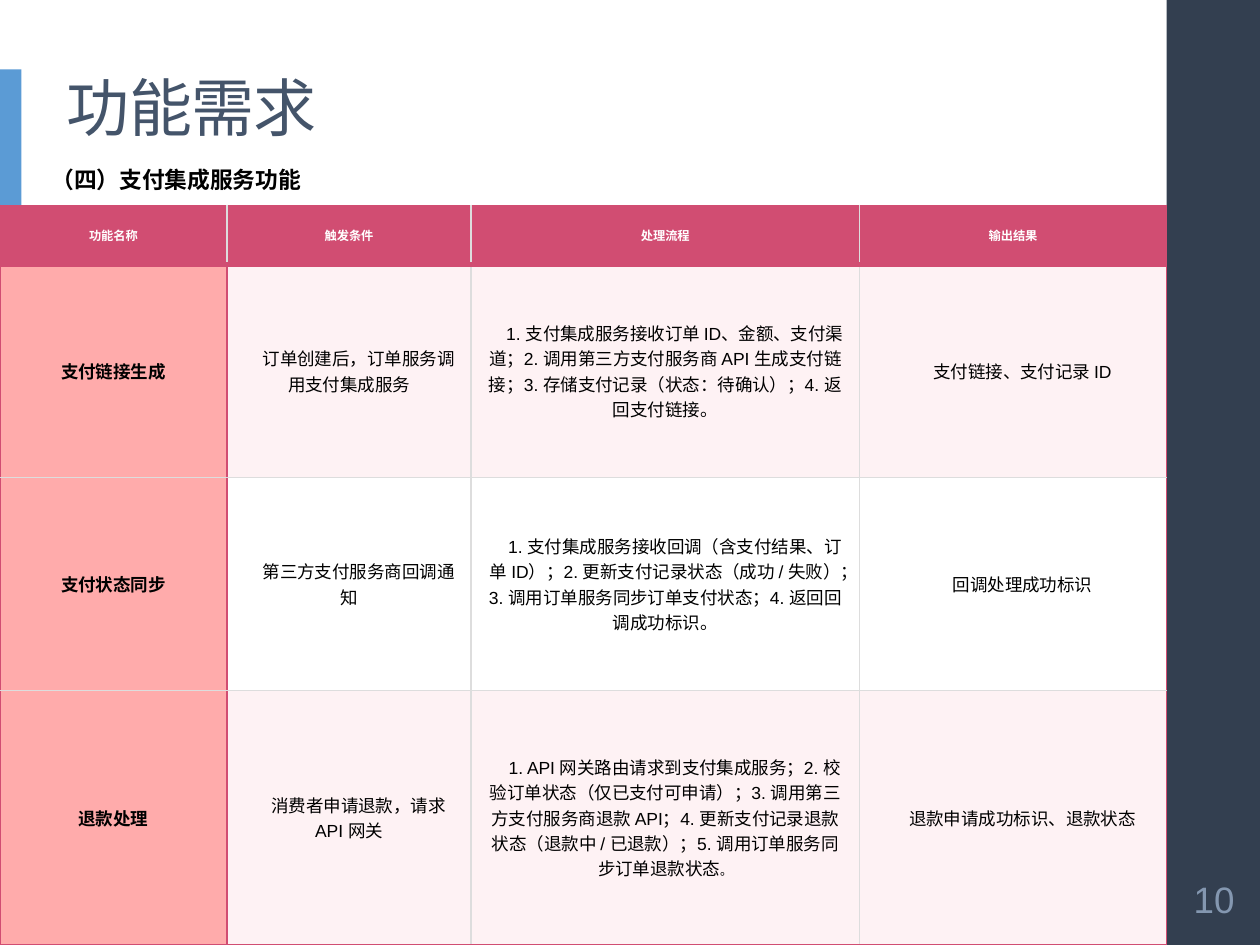
import pptx
import pptx.dml.color
import pptx.enum.shapes
import pptx.enum.text
import pptx.oxml
import pptx.oxml.ns
import pptx.util

ALIGN = pptx.enum.text.PP_ALIGN
ANCHOR = pptx.enum.text.MSO_ANCHOR
W, H = 10, 7.5
PANEL_X, PANEL_W = 9.26, 0.75
ROSE, PINK, BLUSH, GREY, WHITE = "D14D72", "FFABAB", "FEF2F4", "DDDDDD", "FFFFFF"
INDENT = 0.15
COLS = [1.8, 1.94, 3.08, 2.44]
ROWS = [0.47, 1.69, 1.69, 2.02]
CELLS = [
    ["功能名称", "触发条件", "处理流程", "输出结果"],
    ["支付链接生成",
     "订单创建后，订单服务调用支付集成服务",
     "1. 支付集成服务接收订单 ID、金额、支付渠道；2. 调用第三方支付服务商 API 生成支付链接；"
     "3. 存储支付记录（状态：待确认）；4. 返回支付链接。",
     "支付链接、支付记录 ID"],
    ["支付状态同步",
     "第三方支付服务商回调通知",
     "1. 支付集成服务接收回调（含支付结果、订单 ID）；2. 更新支付记录状态（成功 / 失败）；"
     "3. 调用订单服务同步订单支付状态；4. 返回回调成功标识。",
     "回调处理成功标识"],
    ["退款处理",
     "消费者申请退款，请求 API 网关",
     "1. API 网关路由请求到支付集成服务；2. 校验订单状态（仅已支付可申请）；"
     "3. 调用第三方支付服务商退款 API；4. 更新支付记录退款状态（退款中 / 已退款）；"
     "5. 调用订单服务同步订单退款状态。",
     "退款申请成功标识、退款状态"],
]


def rgb(color):
    return pptx.dml.color.RGBColor.from_string(color)


def box(*lengths):
    return [pptx.util.Inches(v) for v in lengths]


def add_run(p, text, size, color, bold=False):
    r = p.add_run()
    r.text = text
    r.font.name = "Arial"
    r.font.size = pptx.util.Pt(size)
    r.font.bold = bold
    r.font.color.rgb = rgb(color)
    return r


def indent(p):
    """Indent the first line of a paragraph."""
    pPr = p._p.get_or_add_pPr()
    pPr.set("marL", "0")
    pPr.set("indent", str(pptx.util.Inches(INDENT)))


def add_bar(s, at, color):
    sp = s.shapes.add_shape(pptx.enum.shapes.MSO_SHAPE.RECTANGLE, *box(*at))
    sp.shadow.inherit = False
    sp.fill.solid()
    sp.fill.fore_color.rgb = rgb(color)
    sp.line.fill.background()


def set_title(s, text):
    sp = s.shapes.title
    sp.left, sp.top, sp.width, sp.height = box(0.43, 0.56, 8.47, 1.07)
    tf = sp.text_frame
    tf.auto_size = pptx.enum.text.MSO_AUTO_SIZE.NONE
    tf.vertical_anchor = ANCHOR.TOP
    p = tf.paragraphs[0]
    p.alignment = ALIGN.LEFT
    p.line_spacing = 0.9
    r = add_run(p, text, 36, "44546A")
    r.font._element.set("spc", "-40")


def add_text(s, at, text, size, color, bold=False, align=ALIGN.LEFT):
    tf = s.shapes.add_textbox(*box(*at)).text_frame
    tf.word_wrap = True
    tf.vertical_anchor = ANCHOR.MIDDLE
    p = tf.paragraphs[0]
    p.alignment = align
    add_run(p, text, size, color, bold)
    return tf


def set_borders(cell, borders):
    """Draw (color, points) borders, given for left, right, top and bottom."""
    tcPr = cell._tc.get_or_add_tcPr()
    for i, (side, (color, width)) in enumerate(zip("LRTB", borders)):
        tcPr.insert(i, pptx.oxml.parse_xml(
            f'<a:ln{side} {pptx.oxml.ns.nsdecls("a")} w="{pptx.util.Pt(width)}">'
            f'<a:solidFill><a:srgbClr val="{color}"/></a:solidFill></a:ln{side}>'))


def cell_borders(row, col):
    """Rose frame, rose rules below the header and beside the names, grey grid."""
    last_row, last_col = len(ROWS) - 1, len(COLS) - 1
    outer, inner, rule = (ROSE, 1), (GREY, 1), (ROSE, 3)
    left = outer if col == 0 or (row and col == 1) else inner
    right = outer if col == last_col or (row and col == 0) else inner
    top = {0: outer, 1: rule}.get(row, inner)
    bottom = {0: rule, last_row: outer}.get(row, inner)
    return left, right, top, bottom


def fill_cell(cell, row, col, text):
    if row == 0:
        fill, size, color = ROSE, 7, WHITE
    else:
        band = BLUSH if row % 2 else WHITE
        fill, size, color = (band if col else PINK), 10, "000000"
    cell.fill.solid()
    cell.fill.fore_color.rgb = rgb(fill)
    cell.vertical_anchor = ANCHOR.MIDDLE
    p = cell.text_frame.paragraphs[0]
    p.alignment = ALIGN.CENTER
    if row and col:
        indent(p)
    add_run(p, text, size, color, row == 0 or col == 0)
    set_borders(cell, cell_borders(row, col))


def add_feature_table(s):
    at = box(0, H - sum(ROWS), sum(COLS), sum(ROWS))
    table = s.shapes.add_table(len(ROWS), len(COLS), *at).table
    table.horz_banding = False
    for column, width in zip(table.columns, COLS):
        column.width = pptx.util.Inches(width)
    for i, (height, texts) in enumerate(zip(ROWS, CELLS)):
        table.rows[i].height = pptx.util.Inches(height)
        for j, text in enumerate(texts):
            fill_cell(table.cell(i, j), i, j, text)
    # The closing full stop of the last process is set smaller.
    p = table.cell(len(ROWS) - 1, 2).text_frame.paragraphs[0]
    p.runs[0].text = p.runs[0].text.removesuffix("。")
    add_run(p, "。", 7, "000000")


def main():
    prs = pptx.Presentation()
    prs.slide_width, prs.slide_height = box(W, H)
    s = prs.slides.add_slide(prs.slide_layouts[5])
    add_bar(s, (PANEL_X, 0, PANEL_W, H), "333F50")
    add_bar(s, (0, 0.55, 0.17, 1.08), "5B9BD5")
    set_title(s, "功能需求")
    number = add_text(s, (PANEL_X, 6.81, PANEL_W, 0.65), "10", 21, "8497B0",
                      align=ALIGN.CENTER)
    number.margin_left = number.margin_right = pptx.util.Inches(0.05)
    add_feature_table(s)
    subtitle = add_text(s, (0.16, 1.26, 15.81, 0.32), "（四）支付集成服务功能",
                        13, "000000", bold=True)
    subtitle.auto_size = pptx.enum.text.MSO_AUTO_SIZE.SHAPE_TO_FIT_TEXT
    indent(subtitle.paragraphs[0])
    prs.save("out.pptx")


if __name__ == "__main__":
    main()
